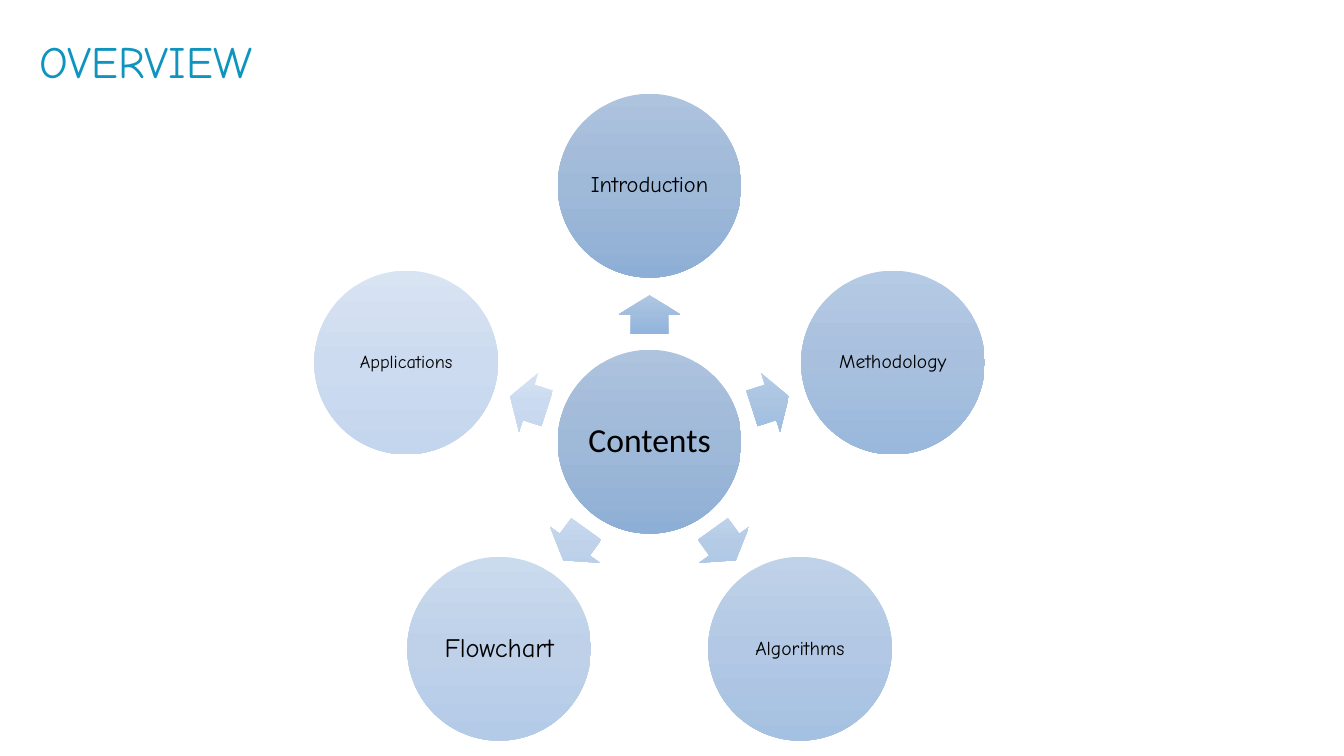
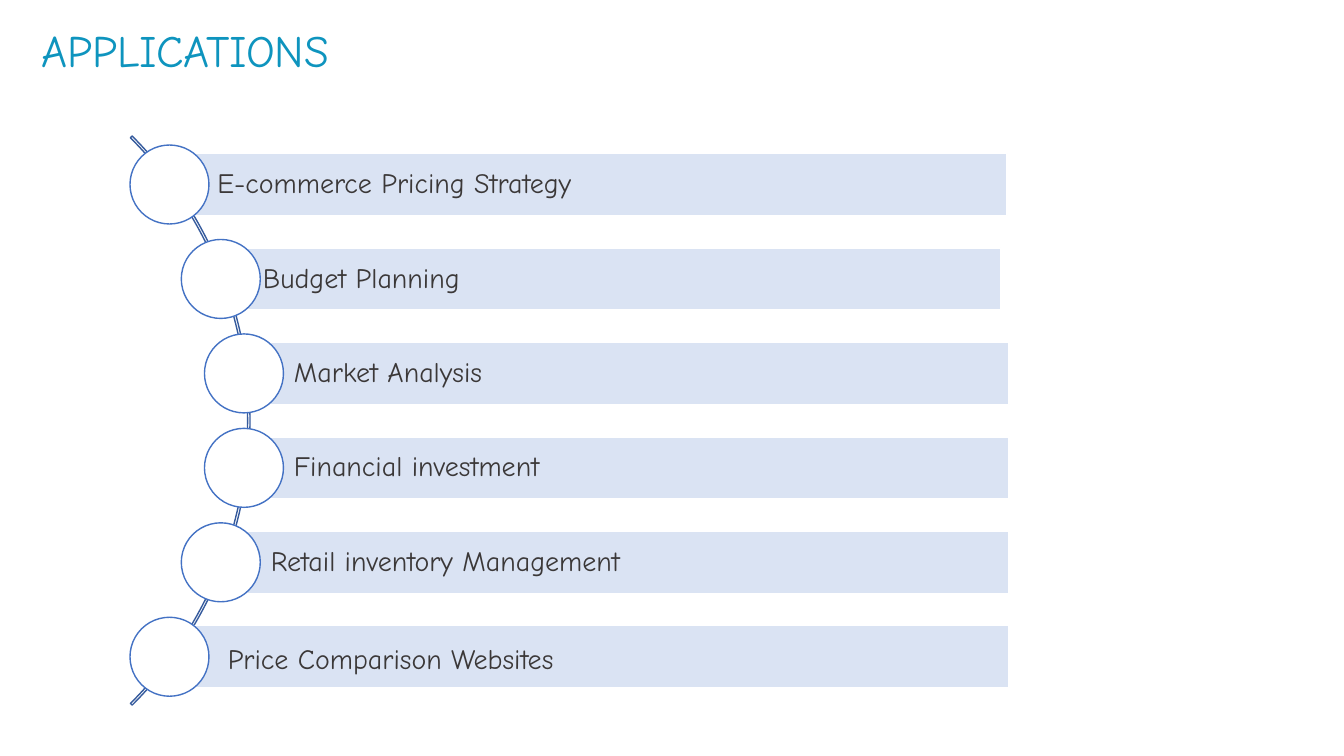
from dataclasses import dataclass
from math import cos, radians, sin, sqrt

from pptx import Presentation
from pptx.dml.color import RGBColor
from pptx.enum.shapes import MSO_SHAPE
from pptx.enum.text import MSO_ANCHOR, MSO_AUTO_SIZE, PP_ALIGN
from pptx.oxml import parse_xml
from pptx.oxml.ns import nsdecls, qn
from pptx.util import Cm, Pt

ELLIPSE = MSO_SHAPE.OVAL
RECTANGLE = MSO_SHAPE.RECTANGLE
ARROW = MSO_SHAPE.RIGHT_ARROW
ARC = MSO_SHAPE.BLOCK_ARC
LEFT, CENTER = PP_ALIGN.LEFT, PP_ALIGN.CENTER
TOP, MIDDLE = MSO_ANCHOR.TOP, MSO_ANCHOR.MIDDLE
NO_AUTOFIT = MSO_AUTO_SIZE.NONE
TITLE_ONLY = 5


@dataclass(frozen=True)
class Theme:
    font: str = "Comic Neue"
    hub_font: str = "Calibri"
    title: str = "0E94BE"
    label: str = "000000"
    body: str = "3B3838"
    bar: str = "DAE3F3"
    paper: str = "FFFFFF"
    ring: str = "4472C4"
    arc: str = "365B9D"
    title_size: int = 32
    hub_size: int = 24
    body_size: int = 20
    line: int = 1


THEME = Theme()

HUB_GRADIENT = ("ADC3DE", "9FB9D8", "8EAFD5")

# Label, type size, circle gradient, arrow gradient; clockwise from the top
TOPICS = [
    ("Introduction", 16, HUB_GRADIENT, ("AFC7E4", "A1BDDE", "90B4DD")),
    ("Methodology", 14, ("B5CAE4", "A8C0DE", "99B8DC"), ("B7CEE8", "AAC4E2", "9BBCE1")),
    ("Algorithms", 14, ("BFD2E9", "B2C8E4", "A5C1E2"), ("C1D4EB", "B4CBE6", "A7C4E5")),
    ("Flowchart", 19, ("CBDBEE", "BED1E9", "B4CBE8"), ("CCDCEF", "BFD2EA", "B5CDEA")),
    ("Applications", 13, ("D9E4F3", "CCDBEF", "C4D6EE"), ("D8E4F3", "CBDBEF", "C3D6EE")),
]

# Label, bar shift, bar right edge, text indent, text drop (cm)
USES = [
    ("E-commerce Pricing Strategy", -0.05, 25.38, 1.26, 0),
    ("Budget Planning", -0.2, 25.21, 1.26, 0),
    ("Market Analysis", 0, 25.43, 1.26, 0),
    ("Financial investment", 0, 25.43, 1.26, 0),
    ("Retail inventory Management", 0, 25.43, 1.26, 0),
    ("Price Comparison Websites", 0, 25.43, 1.47, 0.2),
]


def write_text(box, text, *, size, color, font=THEME.font, align=LEFT,
               anchor=MIDDLE, insets=(0, 0, 0, 0), spacing=1.0):
    """Fill a shape with one formatted line; insets are left, top, right, bottom."""
    frame = box.text_frame
    frame.auto_size = NO_AUTOFIT
    frame.word_wrap = True
    frame.vertical_anchor = anchor
    (frame.margin_left, frame.margin_top,
     frame.margin_right, frame.margin_bottom) = map(Cm, insets)
    para = frame.paragraphs[0]
    para.alignment = align
    para.line_spacing = spacing
    span = para.add_run()
    span.text = text
    span.font.name = font
    span.font.size = Pt(size)
    span.font.color.rgb = RGBColor.from_string(color)


def set_gradient(shape, colors):
    """Vertical three-stop gradient that stays upright when the shape turns."""
    stops = "".join(
        f'<a:gs pos="{i * 50000}"><a:srgbClr val="{color}"/></a:gs>'
        for i, color in enumerate(colors))
    gradient = parse_xml(
        f'<a:gradFill {nsdecls("a")} rotWithShape="0"><a:gsLst>{stops}</a:gsLst>'
        '<a:lin ang="5400000" scaled="0"/></a:gradFill>')
    shape.fill.background()
    properties = shape.element.spPr
    properties.replace(properties.find(qn("a:noFill")), gradient)


def add_form(page, kind, left, top, width, height, fill=None, line=None):
    """Add a preset shape; fill is one colour, a gradient tuple or None."""
    shape = page.shapes.add_shape(kind, Cm(left), Cm(top), Cm(width), Cm(height))
    shape.shadow.inherit = False
    if fill is None:
        shape.fill.background()
    elif isinstance(fill, tuple):
        set_gradient(shape, fill)
    else:
        shape.fill.solid()
        shape.fill.fore_color.rgb = RGBColor.from_string(fill)
    if line is None:
        shape.line.fill.background()
    else:
        shape.line.color.rgb = RGBColor.from_string(line)
        shape.line.width = Pt(THEME.line)
    return shape


def add_centered(page, kind, x, y, width, height, **style):
    return add_form(page, kind, x - width / 2, y - height / 2, width, height, **style)


def add_page(deck, title, left, top, width):
    page = deck.slides.add_slide(deck.slide_layouts[TITLE_ONLY])
    box = page.shapes.title
    box.left, box.top, box.width, box.height = Cm(left), Cm(top), Cm(width), Cm(1.63)
    write_text(box, title, size=THEME.title_size, color=THEME.title, anchor=TOP,
               insets=(0.25, 0.13, 0.25, 0.13))
    return page


def draw_wheel(page, center_x, center_y, orbit):
    """Hub with topic circles around it and an arrow towards each."""
    diameter, arrow_orbit = 4.63, orbit / 2 - 0.02
    hub = add_centered(page, ELLIPSE, center_x, center_y, diameter, diameter,
                       fill=HUB_GRADIENT)
    write_text(hub, "Contents", size=THEME.hub_size, color=THEME.label,
               font=THEME.hub_font, align=CENTER, spacing=0.9)
    for i, (label, size, circle_fill, arrow_fill) in enumerate(TOPICS):
        turn = -90 + i * 360 / len(TOPICS)
        dx, dy = cos(radians(turn)), sin(radians(turn))
        # Arrow from the hub
        arrow = add_centered(page, ARROW, center_x + arrow_orbit * dx,
                             center_y + arrow_orbit * dy, 0.98, 1.56, fill=arrow_fill)
        arrow.adjustments[0], arrow.adjustments[1] = 0.6, 0.5
        arrow.rotation = turn % 360
        # Topic circle
        circle = add_centered(page, ELLIPSE, center_x + orbit * dx,
                              center_y + orbit * dy, diameter, diameter, fill=circle_fill)
        write_text(circle, label, size=size, color=THEME.label, align=CENTER, spacing=0.9)


def draw_curved_list(page, center_x, center_y, radius):
    """Bars whose round markers follow an arc."""
    pitch, bar_height, marker = 2.38, 1.56, 1.99
    # Thin arc behind the rows
    arc = add_centered(page, ARC, center_x, center_y, 2 * radius, 2 * radius,
                       line=THEME.arc)
    for i, value in enumerate((189, 27, 0.003)):
        arc.adjustments[i] = value
    marker_radius = radius - 0.08
    for i, (label, shift, right, indent, drop) in enumerate(USES):
        dy = (i - (len(USES) - 1) / 2) * pitch
        x, y = center_x + sqrt(marker_radius ** 2 - dy ** 2), center_y + dy
        # Bar with its label
        left = x + shift
        bar = add_form(page, RECTANGLE, left, y - bar_height / 2, right - left,
                       bar_height, fill=THEME.bar, line=THEME.paper)
        write_text(bar, label, size=THEME.body_size, color=THEME.body,
                   insets=(indent, 0.15 + drop, 0.15, 0.15), spacing=0.9)
        # Round marker
        add_centered(page, ELLIPSE, x, y, marker, marker,
                     fill=THEME.paper, line=THEME.ring)


def main():
    deck = Presentation()
    deck.slide_width, deck.slide_height = Cm(33.87), Cm(19.05)

    overview = add_page(deck, "OVERVIEW", 0.74, 0.71, 7.42)
    draw_wheel(overview, 16.37, 11.13, 6.45)

    applications = add_page(deck, "APPLICATIONS", 0.79, 0.43, 9.55)
    draw_curved_list(applications, -3.84, 10.6, 10.14)

    deck.save("out.pptx")


if __name__ == "__main__":
    main()
